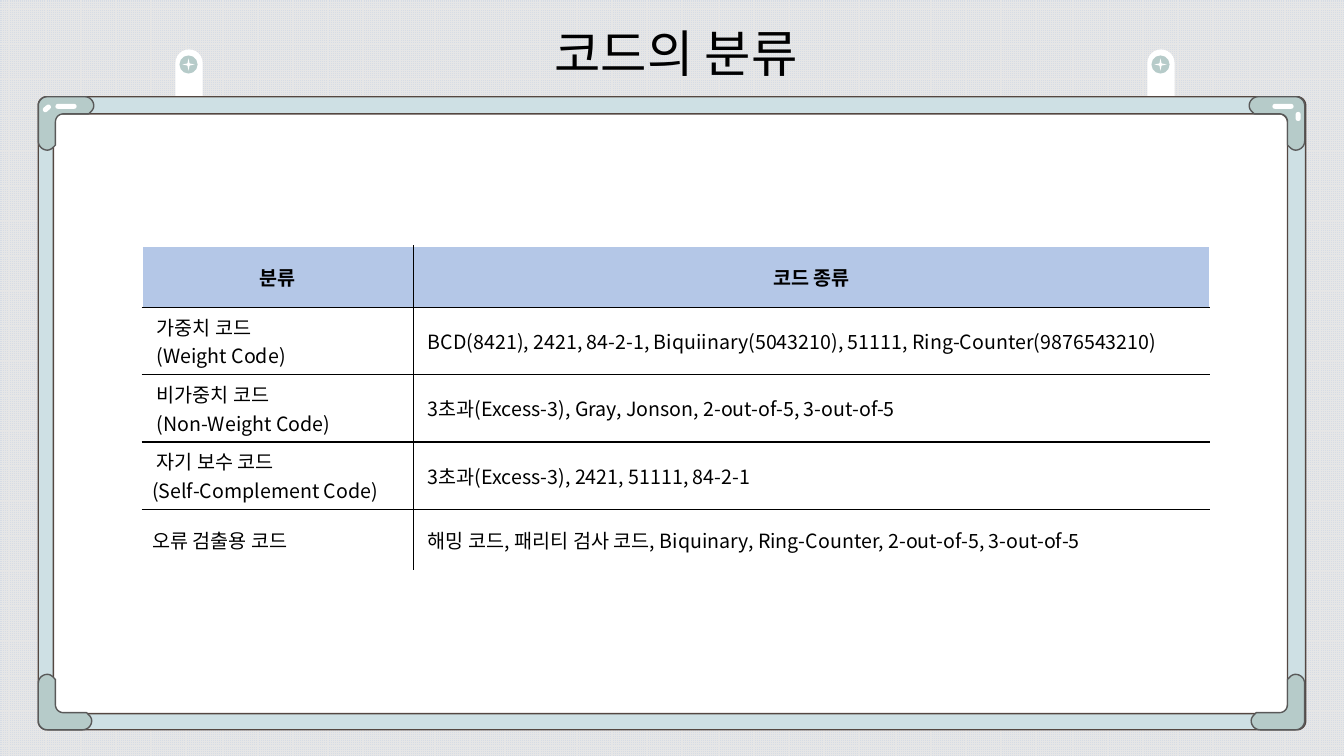
from lxml import etree
from pptx import Presentation
from pptx.dml.color import RGBColor
from pptx.enum import dml, shapes, text
from pptx.oxml import ns
from pptx.util import Inches, Pt

FONT = "Noto Sans CJK KR"
BLACK = RGBColor(0x00, 0x00, 0x00)
WHITE = RGBColor(0xFF, 0xFF, 0xFF)
GRID_GREY = RGBColor(0xE6, 0xE6, 0xE6)
GRID_BLUE = RGBColor(0xD6, 0xDC, 0xE5)
FRAME_BLUE = RGBColor(0xCE, 0xE0, 0xE4)
FRAME_LINE = RGBColor(0x54, 0x47, 0x41)
CORNER_GREEN = RGBColor(0xB6, 0xCB, 0xC9)
CORNER_LINE = RGBColor(0x59, 0x59, 0x59)
HEADER_BLUE = RGBColor(0xB4, 0xC7, 0xE7)


def flatten(segments):
    """Turn points (x, y) and cubic curves (x1, y1, x2, y2, x, y) into EMU points."""
    points = []
    for segment in segments:
        if len(segment) == 2:
            points.append(segment)
            continue
        start, first, second, end = points[-1], segment[:2], segment[2:4], segment[4:]
        for step in range(1, 9):
            t = step / 8
            points.append(tuple(
                (1 - t) ** 3 * a + 3 * (1 - t) ** 2 * t * b + 3 * (1 - t) * t ** 2 * c + t ** 3 * d
                for a, b, c, d in zip(start, first, second, end)))
    return [(Inches(x), Inches(y)) for x, y in points]


def format_text(paragraph, size, bold=False):
    for run in paragraph.runs:
        run.font.name = FONT
        run.font.size = Pt(size)
        run.font.bold = bold
        run.font.color.rgb = BLACK
        east_asian = etree.SubElement(run.font._element, ns.qn("a:ea"))
        east_asian.set("typeface", FONT)


presentation = Presentation()
presentation.slide_width = Inches(13.33)
presentation.slide_height = Inches(7.5)
slide = presentation.slides.add_slide(presentation.slide_layouts[5])

background = slide.background.fill
background.patterned()
background.pattern = dml.MSO_PATTERN.SMALL_GRID
background.fore_color.rgb = GRID_GREY
background.back_color.rgb = GRID_BLUE

# Title
title = slide.shapes.title
title.left, title.top, title.width, title.height = map(Inches, (2.04, 0.15, 9.33, 0.82))
title.text_frame.text = "코드의 분류"
title.text_frame.vertical_anchor = text.MSO_ANCHOR.MIDDLE
heading = title.text_frame.paragraphs[0]
heading.alignment = text.PP_ALIGN.CENTER
heading.line_spacing = 0.9
format_text(heading, 36)

# Board: hangers and white surface, frame, corner caps, highlights
KIND = shapes.MSO_SHAPE
board = slide.shapes.add_group_shape()
back_parts = []
for left in (1.74, 11.38):
    back_parts += [
        (KIND.ROUND_2_SAME_RECTANGLE, left, 0.49, 0.27, 0.48, 0, WHITE),
        (KIND.OVAL, left + 0.04, 0.55, 0.18, 0.18, 0, CORNER_GREEN),
        (KIND.STAR_4_POINT, left + 0.07, 0.58, 0.12, 0.12, 0, WHITE),
    ]
back_parts.append((KIND.RECTANGLE, 0.43, 1.08, 12.45, 6.08, 0, WHITE))

frame_contours = []
for left, top, right, bottom in ((0.38, 0.96, 12.95, 7.24), (0.53, 1.13, 12.77, 7.08)):
    radius, pull = 0.08, 0.04
    frame_contours.append(flatten([
        (left + radius, top), (right - radius, top),
        (right - pull, top, right, top + pull, right, top + radius),
        (right, bottom - radius),
        (right, bottom - pull, right - pull, bottom, right - radius, bottom),
        (left + radius, bottom),
        (left + pull, bottom, left, bottom - pull, left, bottom - radius),
        (left, top + radius),
        (left, top + pull, left + pull, top, left + radius, top),
    ]))
frame_contours[1].reverse()

cap = [
    (0.09, 0), (0.46, 0), (0.51, 0, 0.55, 0.04, 0.55, 0.09),
    (0.55, 0.11, 0.54, 0.13, 0.53, 0.14), (0.5, 0.17), (0.25, 0.17),
    (0.2, 0.17, 0.17, 0.21, 0.17, 0.25), (0.17, 0.48), (0.15, 0.5),
    (0.13, 0.52, 0.11, 0.53, 0.09, 0.53), (0.04, 0.53, 0, 0.49, 0, 0.44),
    (0, 0.09), (0, 0.04, 0.04, 0, 0.09, 0),
]
outlines = [(frame_contours, FRAME_BLUE, FRAME_LINE)]
for x, x_sign in ((0.38, 1), (12.94, -1)):
    for y, y_sign in ((0.96, 1), (7.24, -1)):
        # The bottom caps have their long arm upright
        arms = [(across, down)[::y_sign] for across, down in flatten(cap)]
        points = [(Inches(x) + x_sign * across, Inches(y) + y_sign * down) for across, down in arms]
        outlines.append(([points], CORNER_GREEN, CORNER_LINE))

highlights = [
    (KIND.ROUNDED_RECTANGLE, 0.55, 1.03, 0.21, 0.05, 0, WHITE),
    (KIND.ROUNDED_RECTANGLE, 0.42, 1.05, 0.09, 0.05, 319.2, WHITE),
    (KIND.ROUNDED_RECTANGLE, 12.62, 1.03, 0.21, 0.05, 0, WHITE),
    (KIND.ROUNDED_RECTANGLE, 12.83, 1.13, 0.09, 0.05, 270, WHITE),
]
for part in back_parts + outlines + highlights:
    if len(part) == 3:
        contours, color, line_color = part
        builder = board.shapes.build_freeform(*contours[0][0])
        builder.add_line_segments(contours[0][1:])
        for contour in contours[1:]:
            builder.move_to(*contour[0])
            builder.add_line_segments(contour[1:])
        shape = builder.convert_to_shape()
        shape.line.color.rgb = line_color
        shape.line.width = Pt(1)
    else:
        kind, left, top, width, height, rotation, color = part
        shape = board.shapes.add_shape(kind, *map(Inches, (left, top, width, height)))
        shape.rotation = rotation
        shape.line.fill.background()
        if kind in (KIND.ROUND_2_SAME_RECTANGLE, KIND.ROUNDED_RECTANGLE):
            shape.adjustments[0] = 0.5
    shape.fill.solid()
    shape.fill.fore_color.rgb = color
    shape.shadow.inherit = False

# Table of codes
code_rows = [
    ("분류", "코드 종류"),
    (" 가중치 코드\n (Weight Code)",
     " BCD(8421), 2421, 84-2-1, Biquiinary(5043210), 51111, Ring-Counter(9876543210)"),
    (" 비가중치 코드\n (Non-Weight Code)", " 3초과(Excess-3), Gray, Jonson, 2-out-of-5, 3-out-of-5"),
    (" 자기 보수 코드\n(Self-Complement Code)", " 3초과(Excess-3), 2421, 51111, 84-2-1"),
    ("오류 검출용 코드",
     " 해밍 코드, 패리티 검사 코드, Biquinary, Ring-Counter, 2-out-of-5, 3-out-of-5"),
]
last_row, last_column = len(code_rows) - 1, 1
table = slide.shapes.add_table(len(code_rows), 2, *map(Inches, (1.41, 2.44, 10.59, 3.05))).table
table.horz_banding = False
table.columns[0].width = Inches(2.69)
table.columns[1].width = Inches(7.9)
for row, contents in enumerate(code_rows):
    table.rows[row].height = Inches(0.61)
    for column, content in enumerate(contents):
        cell = table.cell(row, column)
        cell.text_frame.text = content
        cell.vertical_anchor = text.MSO_ANCHOR.MIDDLE
        for paragraph in cell.text_frame.paragraphs:
            paragraph.alignment = text.PP_ALIGN.LEFT if row else text.PP_ALIGN.CENTER
            format_text(paragraph, 14, bold=row == 0)
        outer_sides = {"lnL": column == 0, "lnR": column == last_column,
                       "lnT": row == 0, "lnB": row == last_row}
        for side, is_outer in outer_sides.items():
            border = etree.SubElement(cell._tc.get_or_add_tcPr(), ns.qn(f"a:{side}"), w=str(Pt(1)))
            fill = etree.SubElement(border, ns.qn("a:solidFill"))
            etree.SubElement(fill, ns.qn("a:srgbClr"), val=str(WHITE if is_outer else BLACK))
        cell.fill.solid()
        cell.fill.fore_color.rgb = WHITE if row else HEADER_BLUE

presentation.save("out.pptx")
